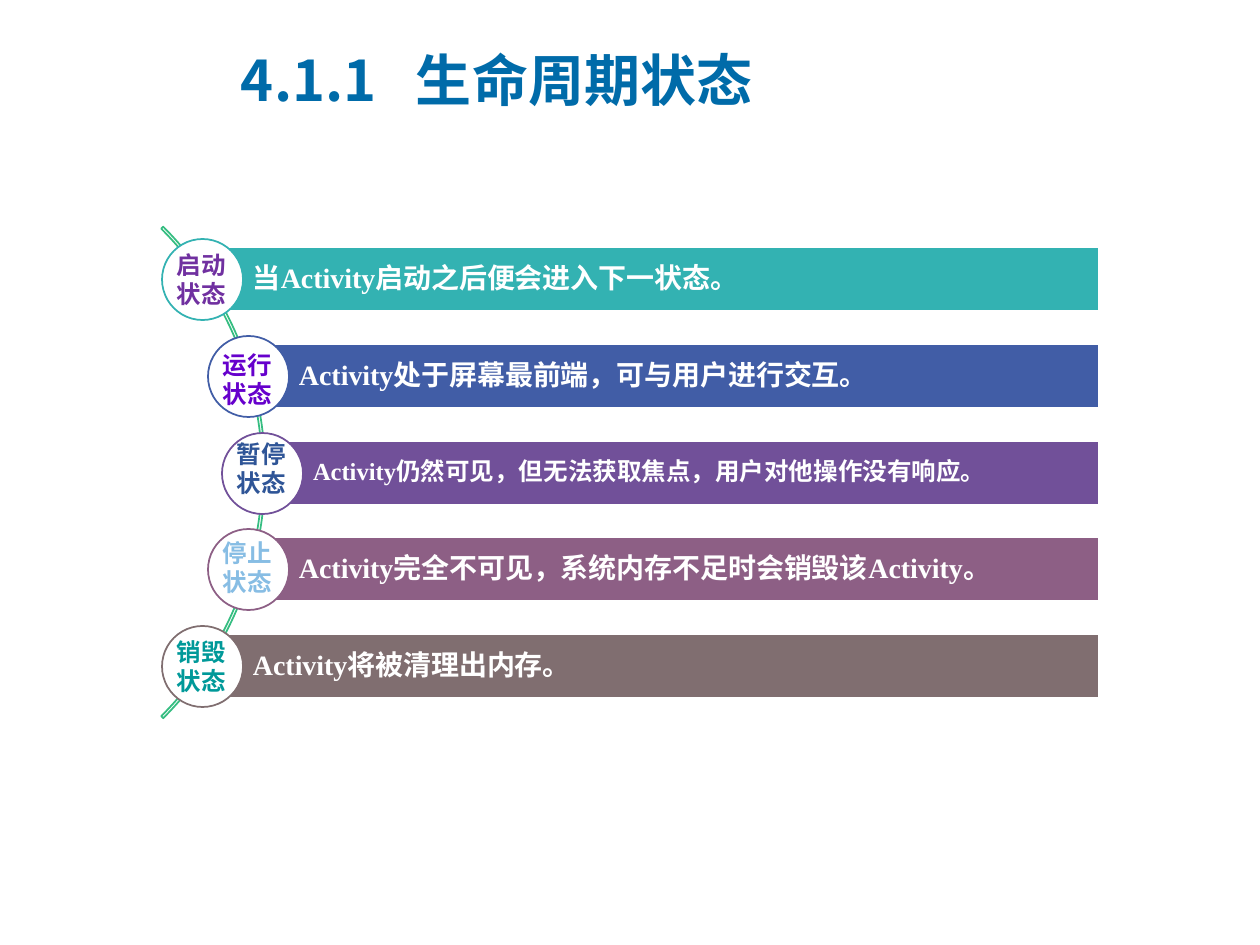
from lxml.etree import SubElement
from pptx import Presentation
from pptx.dml.color import RGBColor
from pptx.enum.shapes import MSO_SHAPE
from pptx.enum.text import MSO_ANCHOR, MSO_AUTO_SIZE, PP_ALIGN
from pptx.oxml.ns import qn
from pptx.util import Pt

PX = 7257.14  # EMU in one px, at 126 px to the inch
HUES = {
    "white": "FFFFFF", "title": "006BA9", "arc": "35BD81",
    "teal": "33B2B2", "blue": "415DA6", "violet": "715099",
    "plum": "8D5F85", "taupe": "806E70",
    "start": "7030A0", "run": "6600CC", "pause": "2F5597",
    "stop": "87BDE4", "end": "009999",
}
CJK = "Noto Sans CJK SC"


def write(shape, lines, size, hue, anchor=MSO_ANCHOR.TOP, wrap=True,
          inset=(13, 6, 13, 6), space=None):
    """Fill a shape with lines, each a list of (text, font) runs."""
    frame = shape.text_frame
    frame.word_wrap = wrap
    if not wrap:
        frame.auto_size = MSO_AUTO_SIZE.SHAPE_TO_FIT_TEXT
    frame.vertical_anchor = anchor
    (frame.margin_left, frame.margin_top,
     frame.margin_right, frame.margin_bottom) = [round(n * PX) for n in inset]
    for i, line in enumerate(lines):
        para = frame.add_paragraph() if i else frame.paragraphs[0]
        para.alignment = PP_ALIGN.LEFT
        if space:
            para.line_spacing = space
        for text, face in line:
            run = para.add_run()
            run.text = text
            font = run.font
            font.name, font.size, font.bold = face, Pt(size), True
            font.color.rgb = RGBColor.from_string(HUES[hue])
            SubElement(font._element, qn("a:ea")).set("typeface", CJK)


def draw(kind, x, y, w, h, line, fill=None):
    """Add a preset shape, measured in px."""
    shape = slide.shapes.add_shape(kind, *[round(n * PX) for n in (x, y, w, h)])
    shape.shadow.inherit = False
    if fill:
        shape.fill.solid()
        shape.fill.fore_color.rgb = RGBColor.from_string(HUES[fill])
    else:
        shape.fill.background()
    shape.line.color.rgb = RGBColor.from_string(HUES[line])
    shape.line.width = Pt(1)
    return shape


deck = Presentation()
deck.slide_width, deck.slide_height = round(1260 * PX), round(945 * PX)
slide = deck.slides.add_slide(deck.slide_layouts[5])

# Title, with a tab stop between number and name
title = slide.shapes.title
title.left, title.top, title.width, title.height = [
    round(n * PX) for n in (228, 26, 709, 106)]
write(title, [[("4.1.1\t生命周期状态", CJK)]], 32, "title",
      anchor=MSO_ANCHOR.MIDDLE)
stops = SubElement(title.text_frame.paragraphs[0]._p.get_or_add_pPr(),
                   qn("a:tabLst"))
SubElement(stops, qn("a:tab"), pos=str(round(175 * PX)), algn="l")

# Arc behind the states
arc = draw(MSO_SHAPE.BLOCK_ARC, -430, 125, 695, 695, "arc")
for i, turn in enumerate((189, 27, 0.004)):
    arc.adjustments[i] = turn

# States: bar left, bar hue, label hue, label top, name, text size, text
LATIN, HAN = "Times New Roman", "Arial"
ACT = ("Activity", LATIN)
states = [
    (202, "teal", "start", 244, "启动", 16,
     [("当", HAN), ACT, ("启动之后便会进入下一状态。", HAN)]),
    (248, "blue", "run", 344, "运行", 16,
     [ACT, ("处于屏幕最前端，可与用户进行交互。", HAN)]),
    (262, "violet", "pause", 433, "暂停", 14,
     [ACT, ("仍然可见，但无法获取焦点，用户对他操作没有响应。", HAN)]),
    (248, "plum", "stop", 532, "停止", 16,
     [("Activity完全不可见，系统内存不足时会销毁该Activity。", LATIN)]),
    (202, "taupe", "end", 631, "销毁", 16,
     [ACT, ("将被清理出内存。", HAN)]),
]
RIGHT, TALL, DISC = 1099, 64, 81
for i, (left, hue, ink, top, name, size, runs) in enumerate(states):
    y = 247 + round(i * 96.75)
    bar = draw(MSO_SHAPE.RECTANGLE, left, y, RIGHT - left, TALL, "white", hue)
    write(bar, [runs], size, "white", anchor=MSO_ANCHOR.MIDDLE,
          inset=(51, 5, 5, 5), space=0.9)
    x = left - DISC // 2
    draw(MSO_SHAPE.OVAL, x, y - (DISC - TALL) // 2, DISC, DISC, hue, "white")
    label = slide.shapes.add_textbox(
        *[round(n * PX) for n in (x + 2, top, 74, 72)])
    write(label, [[(name, HAN)], [("状态", HAN)]], 14, ink, wrap=False,
          inset=(13, 6, 10, 6))

deck.save("out.pptx")
